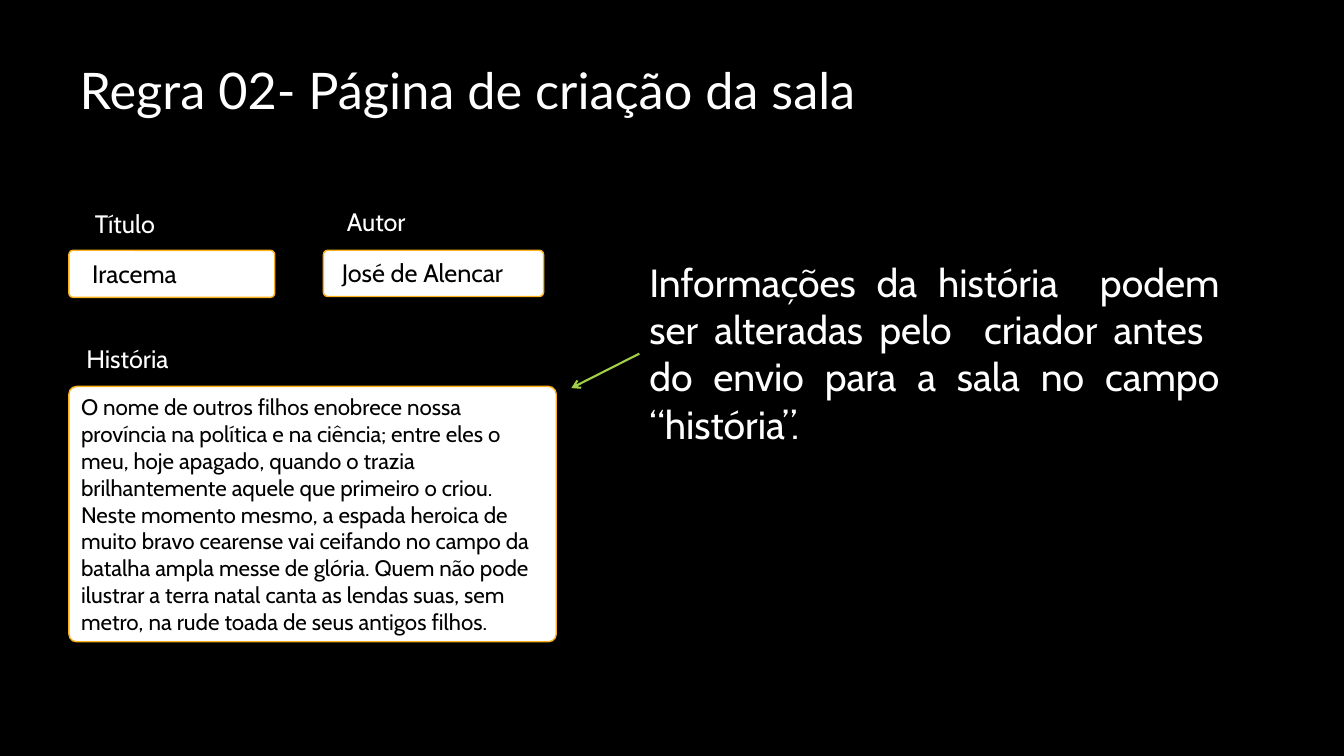
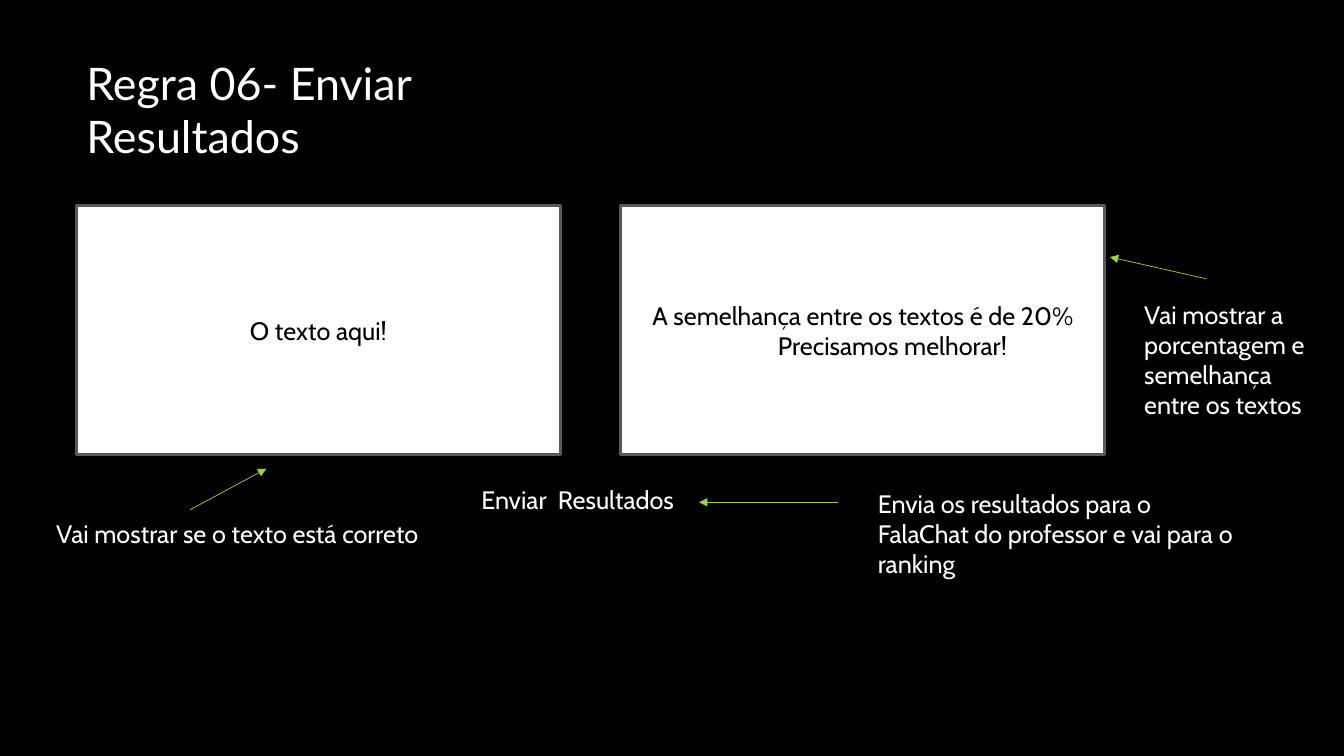
from dataclasses import dataclass

from lxml import etree
from pptx import Presentation
from pptx.dml.color import RGBColor
from pptx.enum.shapes import MSO_CONNECTOR as Connector, MSO_SHAPE as Shape
from pptx.enum.text import MSO_ANCHOR as Anchor, PP_ALIGN as Align
from pptx.oxml.ns import qn
from pptx.util import Inches, Pt


@dataclass(frozen=True)
class Theme:
    black: str = "000000"
    white: str = "FFFFFF"
    amber: str = "FCB11C"
    green: str = "A2CF49"
    gray: str = "595959"
    title_font: str = "Lato"
    body_font: str = "Cabin"
    title: int = 36
    long_title: int = 32
    callout: int = 28
    body: int = 18
    story: int = 16


THEME = Theme()
ROWS = 9  # square cells, 16 columns by 9 rows

presentation = Presentation()
presentation.slide_width = Inches(13.33)
presentation.slide_height = Inches(7.5)
CELL = presentation.slide_height / ROWS
background = presentation.slide_master.background.fill
background.solid()
background.fore_color.rgb = RGBColor.from_string(THEME.black)
blank = presentation.slide_layouts[6]


def add_box(slide, area, text="", size=THEME.body, color=THEME.white, font=THEME.body_font,
            align=Align.LEFT, kind=None, fill=THEME.white, line=THEME.amber, weight=1, corner=None):
    """Add a text box, or a filled shape if kind is given; area is in grid cells."""
    frame = [int(cells * CELL) for cells in area]
    if kind is None:
        shape = slide.shapes.add_textbox(*frame)
    else:
        shape = slide.shapes.add_shape(kind, *frame)
        shape.shadow.inherit = False
        shape.fill.solid()
        shape.fill.fore_color.rgb = RGBColor.from_string(fill)
        shape.line.color.rgb = RGBColor.from_string(line)
        shape.line.width = Pt(weight)
        shape.text_frame.vertical_anchor = Anchor.MIDDLE
        if corner is not None:
            shape.adjustments[0] = corner
    shape.text_frame.word_wrap = True
    shape.text_frame.text = text
    for paragraph in shape.text_frame.paragraphs:
        paragraph.alignment = align
        for run in paragraph.runs:
            run.font.name = font
            run.font.size = Pt(size)
            run.font.color.rgb = RGBColor.from_string(color)
    return shape


def add_arrow(slide, start, end, weight=0.5, head="triangle"):
    points = [int(cells * CELL) for cells in (*start, *end)]
    arrow = slide.shapes.add_connector(Connector.STRAIGHT, *points)
    arrow.line.color.rgb = RGBColor.from_string(THEME.green)
    arrow.line.width = Pt(weight)
    etree.SubElement(arrow.line._get_or_add_ln(), qn("a:tailEnd"), type=head)
    etree.SubElement(arrow._element.spPr, qn("a:effectLst"))


# Room creation page
slide = presentation.slides.add_slide(blank)
add_box(slide, (0.83, 0.65, 12.58, 0.85), "Regra 02- Página de criação da sala",
        THEME.title, font=THEME.title_font)

fields = [
    ("Título", (1.01, 2.42), "Iracema", (0.98, 3.02), (0.82, 2.98, 2.45, 0.56)),
    ("Autor", (4.01, 2.4), "José de Alencar", (3.95, 3), (3.85, 2.98, 2.62, 0.55)),
]
for label, label_corner, value, value_corner, field in fields:
    add_box(slide, field, kind=Shape.ROUNDED_RECTANGLE, corner=0.09)
    add_box(slide, (*label_corner, 2.39, 0.48), label)
    add_box(slide, (*value_corner, 2.52, 0.48), value, color=THEME.black)

add_box(slide, (0.91, 4.03, 1.33, 0.48), "História")
add_box(slide, (0.82, 4.6, 5.8, 3.04),
        "O nome de outros filhos enobrece nossa província na política e na ciência; "
        "entre eles o meu, hoje apagado, quando o trazia brilhantemente aquele que "
        "primeiro o criou. Neste momento mesmo, a espada heroica de muito bravo "
        "cearense vai ceifando no campo da batalha ampla messe de glória. Quem não "
        "pode ilustrar a terra natal canta as lendas suas, sem metro, na rude toada "
        "de seus antigos filhos.",
        THEME.story, THEME.black, kind=Shape.ROUNDED_RECTANGLE, corner=0.03)
add_box(slide, (7.61, 3.02, 7.02, 2.39),
        "Informações da história  podem ser alteradas pelo  criador antes  do envio "
        "para a sala no campo “história”.", THEME.callout, align=Align.JUSTIFY)
add_arrow(slide, (7.61, 4.21), (6.8, 4.62), 1.5, "arrow")

# Sending the results
slide = presentation.slides.add_slide(blank)
add_box(slide, (0.91, 0.6, 4.8, 1.4), "Regra 06- Enviar Resultados",
        THEME.long_title, font=THEME.title_font)

PANEL_LEFT, PANEL_WIDTH, PANEL_GAP = 0.91, 5.76, 0.72
messages = ["O texto aqui!", "A semelhança entre os textos é de 20%\nPrecisamos melhorar!"]
for index, message in enumerate(messages):
    left = PANEL_LEFT + index * (PANEL_WIDTH + PANEL_GAP)
    panel = add_box(slide, (left, 2.45, PANEL_WIDTH, 2.96), message, color=THEME.black,
                    align=Align.CENTER, kind=Shape.RECTANGLE, line=THEME.gray, weight=2.25)
    for paragraph in panel.text_frame.paragraphs[1:]:
        paragraph.alignment = Align.LEFT
        paragraph._p.get_or_add_pPr().set("marL", str(Inches(1.46)))

add_box(slide, (5.56, 5.75, 2.63, 0.38), "Enviar  Resultados", align=Align.CENTER,
        kind=Shape.ROUNDED_RECTANGLE, fill=THEME.black, line=THEME.black, corner=0.26)

notes = [
    ("Vai mostrar se o texto está correto", (0.55, 6.11, 4.68, 0.48), (2.26, 6.07), (3.17, 5.58)),
    ("Envia os resultados para o FalaChat do professor e vai para o ranking",
     (10.33, 5.75, 4.48, 1.21), (9.97, 5.98), (8.32, 5.98)),
    ("Vai mostrar a porcentagem e semelhança entre os textos",
     (13.5, 3.5, 2.3, 1.57), (14.36, 3.32), (13.21, 3.06)),
]
for text, area, start, end in notes:
    add_box(slide, area, text)
    add_arrow(slide, start, end)

presentation.save("out.pptx")
